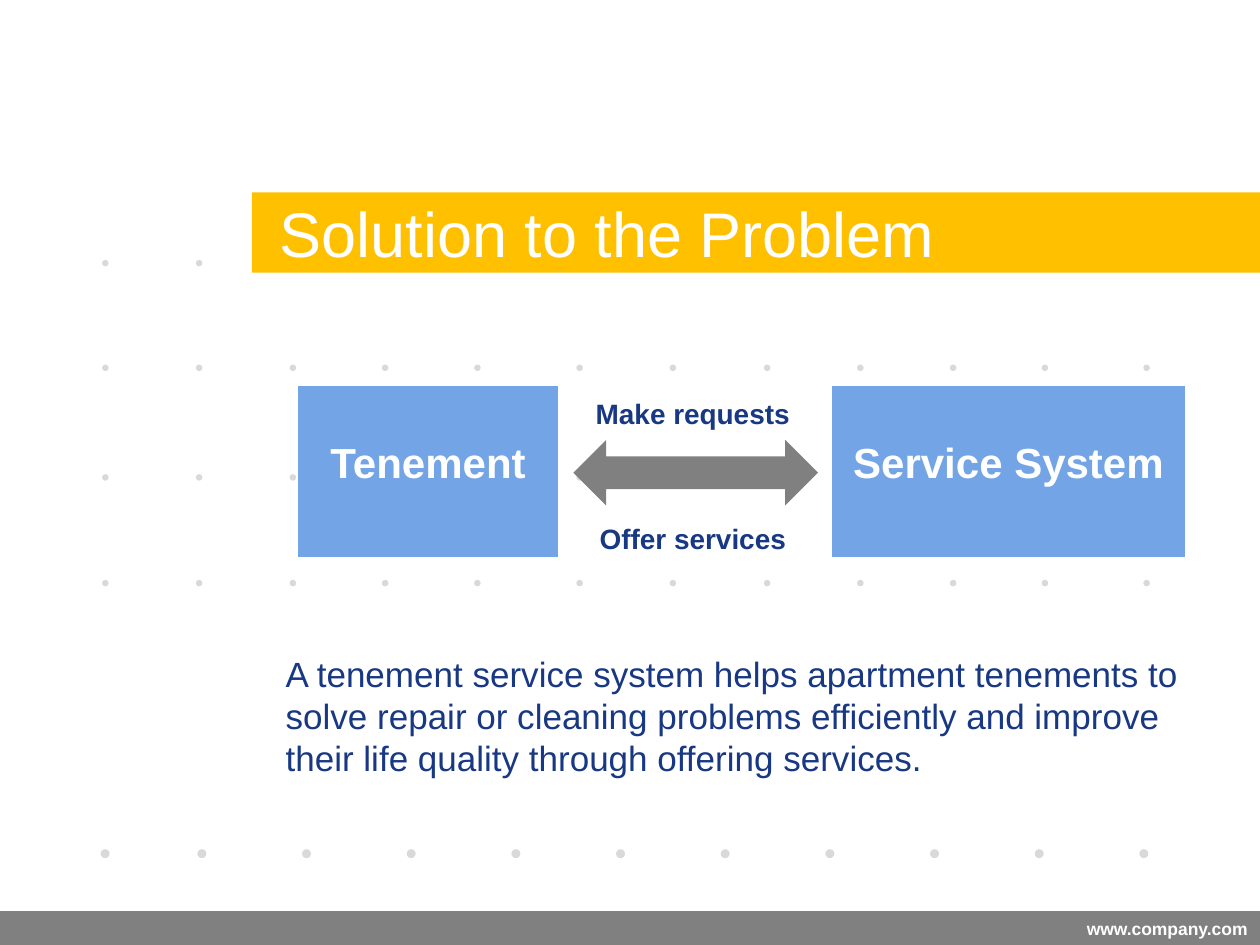
from lxml.etree import SubElement
from pptx import Presentation
from pptx.dml.color import RGBColor
from pptx.enum.shapes import MSO_SHAPE
from pptx.enum.text import MSO_ANCHOR, PP_ALIGN
from pptx.oxml.ns import qn
from pptx.util import Cm, Pt

COLORS = {
    "white": "FFFFFF",
    "gray": "808080",
    "dot": "D9D9D9",
    "amber": "FFC000",
    "blue": "73A4E5",
    "navy": "183883",
}
FONT = "Arial"
DOT_COLUMNS = [2.06, 3.95, 5.84, 7.7, 9.56, 11.62,
               13.5, 15.4, 17.28, 19.15, 21, 23.05]
BORDERS = {"lnL": 1, "lnR": 1, "lnT": 1, "lnB": 3}


def rgb(name):
    return RGBColor.from_string(COLORS[name])


def add_run(p, text, size, color, bold=False):
    r = p.add_run()
    r.text = text
    r.font.name = FONT
    r.font.size = Pt(size)
    r.font.bold = bold
    r.font.color.rgb = rgb(color)


def add_filled(s, kind, x, y, w, h, color):
    sp = s.shapes.add_shape(kind, Cm(x), Cm(y), Cm(w), Cm(h))
    sp.shadow.inherit = False
    sp.fill.solid()
    sp.fill.fore_color.rgb = rgb(color)
    sp.line.fill.background()
    return sp


def add_bar(s, x, y, w, h, color, text, size, bold, align, left_inset):
    sp = add_filled(s, MSO_SHAPE.RECTANGLE, x, y, w, h, color)
    tf = sp.text_frame
    tf.margin_left = Cm(left_inset)
    tf.vertical_anchor = MSO_ANCHOR.MIDDLE
    p = tf.paragraphs[0]
    p.alignment = align
    add_run(p, text, size, "white", bold)


def add_text(s, x, y, w, h, text, size, bold=False):
    tf = s.shapes.add_textbox(Cm(x), Cm(y), Cm(w), Cm(h)).text_frame
    tf.word_wrap = True
    add_run(tf.paragraphs[0], text, size, "navy", bold)


def add_dots(s):
    for y, count in [(5.24, 2), (7.35, 12), (9.56, 12), (11.69, 12)]:
        for x in DOT_COLUMNS[:count]:
            add_filled(s, MSO_SHAPE.OVAL, x, y, 0.13, 0.13, "dot")
    for x in [2.03] + [3.98 + 2.11 * i for i in range(10)]:
        add_filled(s, MSO_SHAPE.OVAL, x, 17.12, 0.18, 0.18, "dot")


def set_borders(cell):
    pr = cell._tc.get_or_add_tcPr()
    for i, (side, width) in enumerate(BORDERS.items()):
        ln = SubElement(pr, qn(f"a:{side}"), w=str(Pt(width)))
        fill = SubElement(ln, qn("a:solidFill"))
        SubElement(fill, qn("a:srgbClr"), val=COLORS["white"])
        pr.insert(i, ln)


def add_box_table(s, x, w, text):
    y, h = 7.77, 3.5
    table = s.shapes.add_table(1, 1, Cm(x), Cm(y), Cm(w), Cm(h)).table
    cell = table.cell(0, 0)
    cell.fill.solid()
    cell.fill.fore_color.rgb = rgb("blue")
    cell.margin_top = Cm(1.1)
    set_borders(cell)
    p = cell.text_frame.paragraphs[0]
    p.alignment = PP_ALIGN.CENTER
    add_run(p, text, 24, "white", True)


def main():
    prs = Presentation()
    prs.slide_width, prs.slide_height = Cm(25.4), Cm(19.05)
    s = prs.slides.add_slide(prs.slide_layouts[6])

    add_filled(s, MSO_SHAPE.RECTANGLE, 3.6, 4.88, 21.8, 9.72, "white")
    add_bar(s, 0, 18.37, 25.4, 0.68, "gray", "www.company.com",
            10, True, PP_ALIGN.RIGHT, 0.25)
    add_dots(s)
    add_bar(s, 5.08, 3.88, 20.32, 1.62, "amber", "Solution to the Problem",
            36, False, PP_ALIGN.LEFT, 0.56)

    add_box_table(s, 5.99, 5.28, "Tenement")
    add_box_table(s, 16.76, 7.14, "Service System")
    add_text(s, 5.51, 13.03, 18.72, 3.25,
             "A tenement service system helps apartment tenements to solve "
             "repair or cleaning problems efficiently and improve their life "
             "quality through offering services.", 20)
    add_filled(s, MSO_SHAPE.LEFT_RIGHT_ARROW, 11.56, 8.87, 4.93, 1.32, "gray")
    add_text(s, 11.76, 7.87, 4.93, 0.94, "Make requests", 16, True)
    add_text(s, 11.84, 10.39, 4.93, 0.94, "Offer services", 16, True)

    prs.save("out.pptx")


if __name__ == "__main__":
    main()
